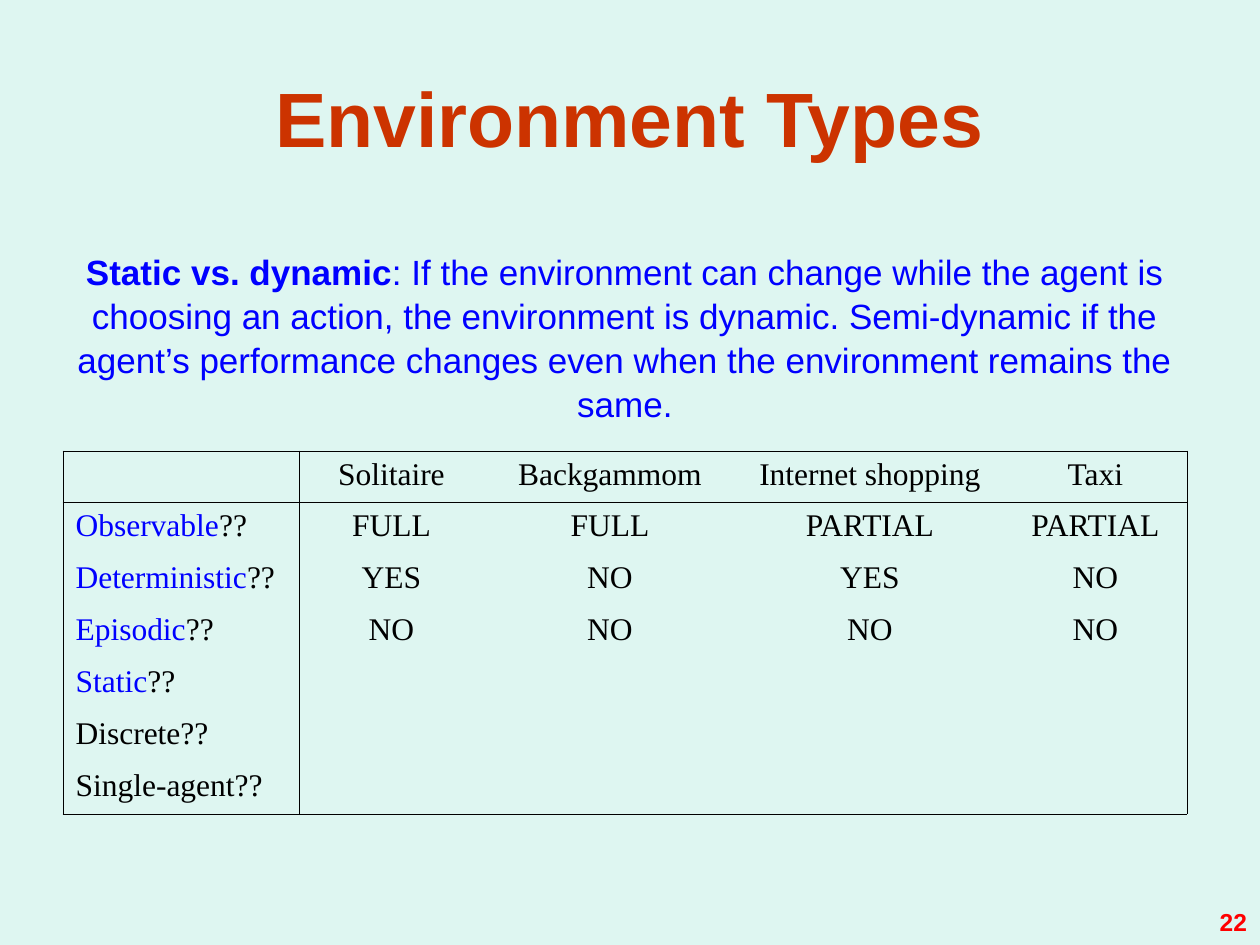
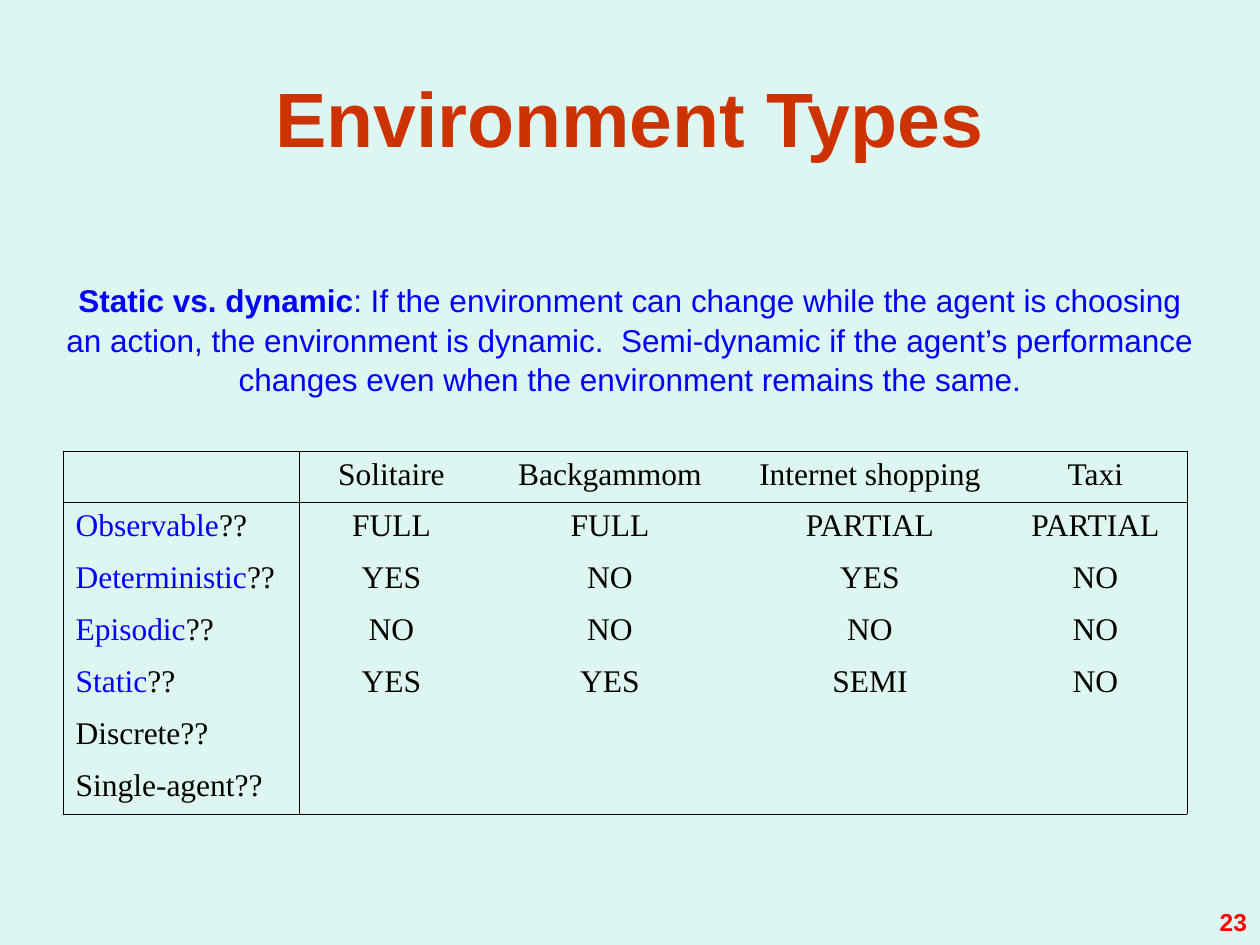
from lxml import etree
from pptx import Presentation
from pptx.dml.color import RGBColor
from pptx.enum.text import MSO_ANCHOR, PP_ALIGN
from pptx.oxml.ns import qn
from pptx.util import Emu, Pt

PX_PER_INCH = 126
MINT = RGBColor(0xDE, 0xF6, 0xF1)
RUST = RGBColor(0xCC, 0x33, 0x00)
BLUE = RGBColor(0x00, 0x00, 0xFF)
RED = RGBColor(0xFF, 0x00, 0x00)
BLACK = RGBColor(0x00, 0x00, 0x00)
SANS, SERIF = "Arial", "Times New Roman"
LEFT, CENTER, RIGHT = PP_ALIGN.LEFT, PP_ALIGN.CENTER, PP_ALIGN.RIGHT
TOP, MIDDLE = MSO_ANCHOR.TOP, MSO_ANCHOR.MIDDLE
RULE_WIDTH = Pt(0.45)

TERM = "Static vs. dynamic"
CHANGE = (": If the environment can change while the agent is choosing an action, "
          "the environment is dynamic.")
SEMI = ("Semi-dynamic if the agent’s performance changes even when the "
        "environment remains the same.")

COLUMN_WIDTHS = [236, 185, 252, 268, 183]
HEADER_HEIGHT, ROW_HEIGHT = 51, 52
TASKS = ["Solitaire", "Backgammom", "Internet shopping", "Taxi"]
PROPERTIES = ["Observable", "Deterministic", "Episodic", "Static", "Discrete", "Single-agent"]
COVERED = 4
ANSWERS = [
    ["FULL", "FULL", "PARTIAL", "PARTIAL"],
    ["YES", "NO", "YES", "NO"],
    ["NO", "NO", "NO", "NO"],
    ["YES", "YES", "SEMI", "NO"],
]


def px(length):
    return Emu(round(length * 914400 / PX_PER_INCH))


def rule_cell(cell, sides):
    """Draw black rules on the named sides (L, R, T, B) and none on the others."""
    properties = cell._tc.get_or_add_tcPr()
    for side in "LRTB":
        line = etree.SubElement(properties, qn(f"a:ln{side}"), w=str(int(RULE_WIDTH)))
        if side in sides:
            fill = etree.SubElement(line, qn("a:solidFill"))
            etree.SubElement(fill, qn("a:srgbClr"), val=str(BLACK))
        else:
            etree.SubElement(line, qn("a:noFill"))
    cell.fill.background()


class EnvironmentDeck:
    def __init__(self):
        self.deck = Presentation()
        self.deck.slide_width, self.deck.slide_height = px(1260), px(945)
        self.page = None

    def add_page(self):
        self.page = self.deck.slides.add_slide(self.deck.slide_layouts[6])
        self.page.background.fill.solid()
        self.page.background.fill.fore_color.rgb = MINT

    def add_spans(self, para, spans, font, size, align):
        """Fill a paragraph with (text, colour, bold) spans."""
        para.alignment = align
        for text, color, bold in spans:
            span = para.add_run()
            span.text = text
            span.font.name, span.font.size = font, Pt(size)
            span.font.bold, span.font.color.rgb = bold, color

    def text(self, area, spans, size, align, anchor=TOP, side_inset=13, top_inset=6):
        box = self.page.shapes.add_textbox(*map(px, area))
        frame = box.text_frame
        frame.word_wrap, frame.vertical_anchor = True, anchor
        frame.margin_left = frame.margin_right = px(side_inset)
        frame.margin_top, frame.margin_bottom = px(top_inset), px(6)
        self.add_spans(frame.paragraphs[0], spans, SANS, size, align)
        return frame.paragraphs[0]

    def title(self, text):
        self.text((63, 38, 1134, 157), [(text, RUST, True)], 44, CENTER, MIDDLE)

    def definition(self, area, description, size):
        para = self.text(area, [(TERM, BLUE, True), (description, BLUE, False)],
                         size, CENTER, side_inset=0)
        para.line_spacing = 1.05

    def page_number(self, number):
        self.text((966, 879, 294, 66), [(str(number), RED, True)], 14, RIGHT, top_inset=32)

    def table(self, left, top, answers):
        heights = [HEADER_HEIGHT] + [ROW_HEIGHT] * len(PROPERTIES)
        last_row, last_column = len(PROPERTIES), len(TASKS)
        table = self.page.shapes.add_table(
            len(heights), len(COLUMN_WIDTHS), px(left), px(top),
            px(sum(COLUMN_WIDTHS)), px(sum(heights))).table
        table.first_row = table.horz_banding = False
        for column, width in zip(table.columns, COLUMN_WIDTHS):
            column.width = px(width)
        for row, height in zip(table.rows, heights):
            row.height = px(height)

        for r in range(last_row + 1):
            for c in range(last_column + 1):
                sides = ("L" * (c <= 1) + "R" * (c in (0, last_column))
                         + "T" * (r <= 1) + "B" * (r in (0, last_row)))
                rule_cell(table.cell(r, c), sides)

        for r, values in enumerate([TASKS] + answers):
            for c, value in enumerate(values, 1):
                self.add_spans(table.cell(r, c).text_frame.paragraphs[0],
                               [(value, BLACK, False)], SERIF, 18, CENTER)
        for r, name in enumerate(PROPERTIES, 1):
            if r <= COVERED:
                spans = [(name, BLUE, False), ("??", BLACK, False)]
            else:
                spans = [(name + "??", BLACK, False)]
            self.add_spans(table.cell(r, 0).text_frame.paragraphs[0], spans, SERIF, 18, LEFT)


def main():
    builder = EnvironmentDeck()
    pages = [
        (22, ANSWERS[:3], (53, 242, 1144, 181), f"{CHANGE} {SEMI}", 20),
        (23, ANSWERS, (63, 273, 1134, 126), f"{CHANGE}  {SEMI}", 18),
    ]
    for number, answers, area, description, size in pages:
        builder.add_page()
        builder.title("Environment Types")
        builder.table(63, 451, answers)
        builder.definition(area, description, size)
        builder.page_number(number)
    builder.deck.save("out.pptx")


if __name__ == "__main__":
    main()
